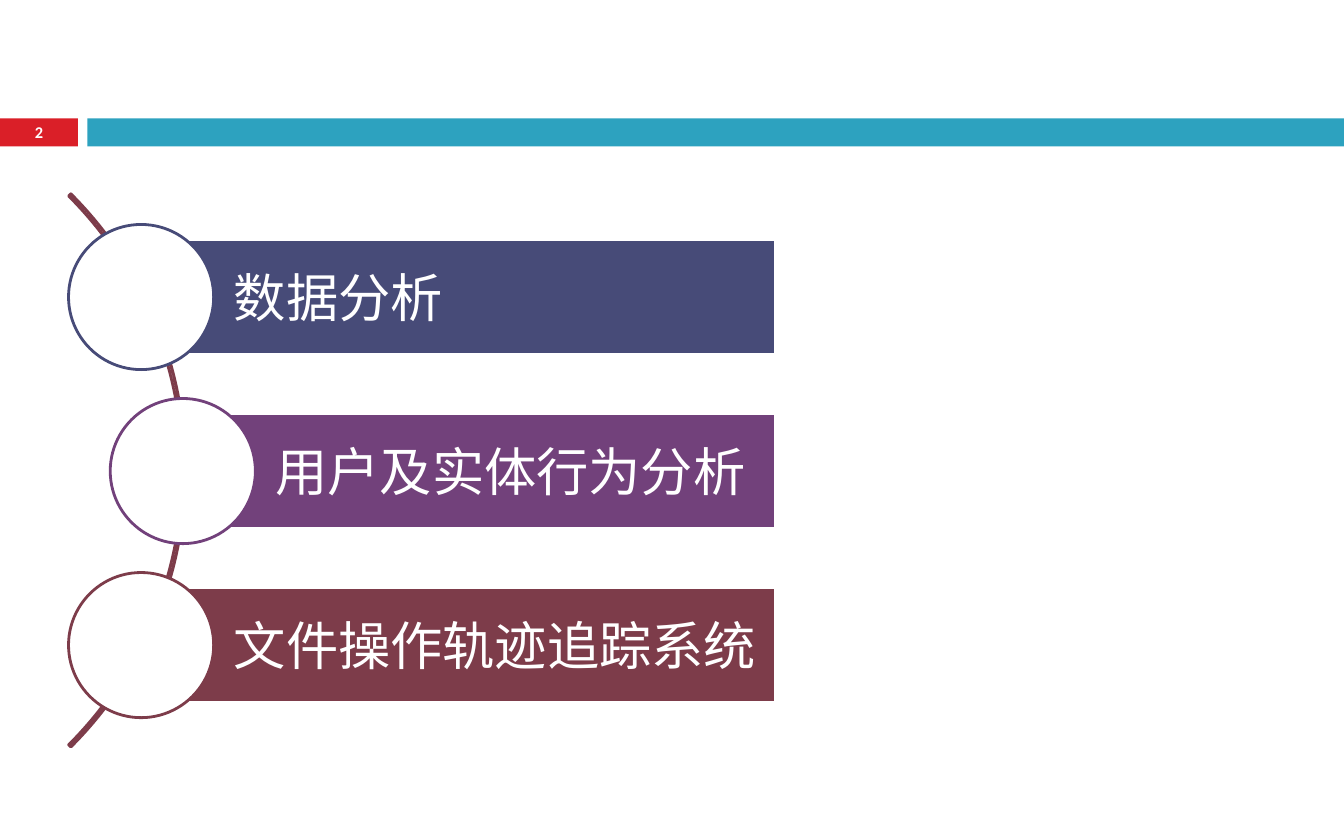
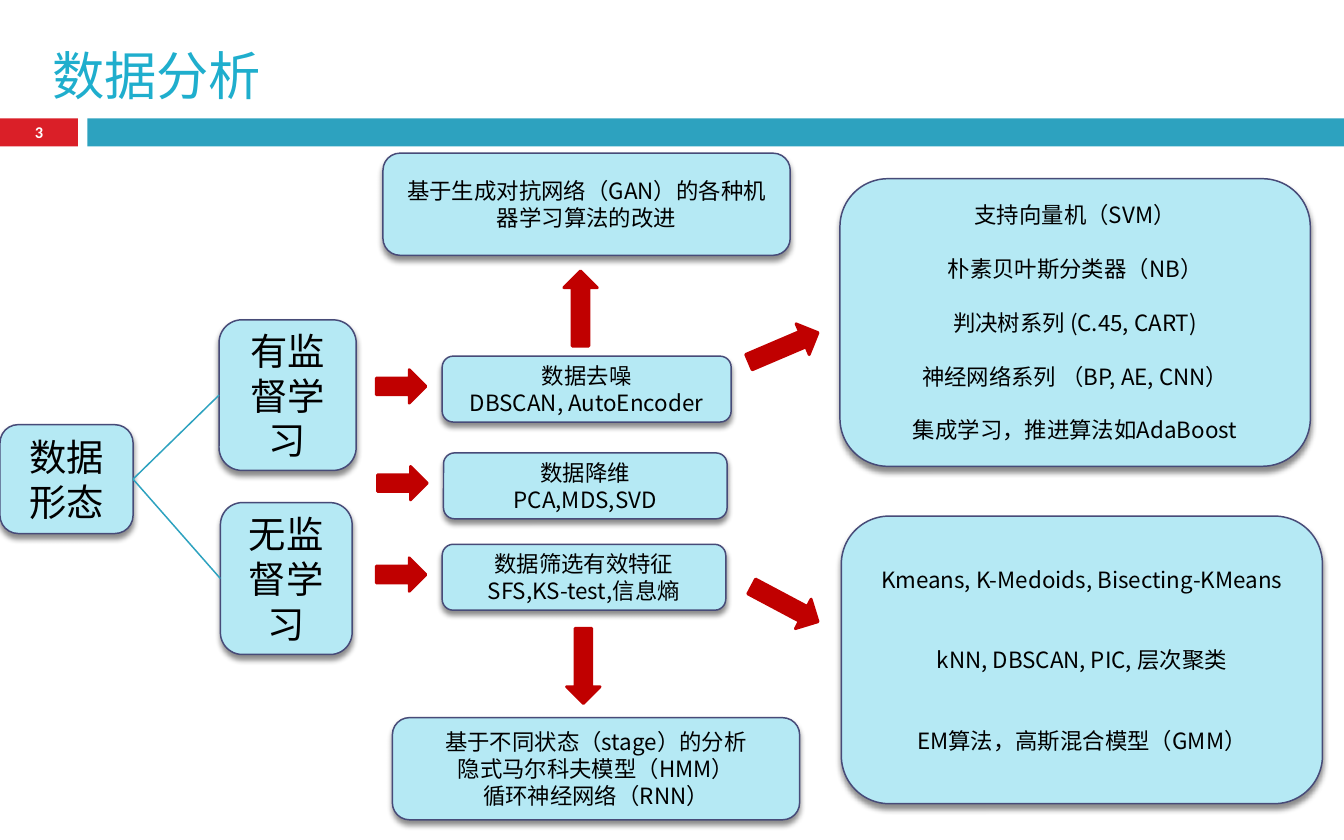
import dataclasses

import pptx
import pptx.chart.data
import pptx.dml.color
import pptx.enum.shapes
import pptx.enum.text
import pptx.oxml
import pptx.oxml.ns
import pptx.util

SHAPE = pptx.enum.shapes.MSO_SHAPE
ALIGN = pptx.enum.text.PP_ALIGN
ANCHOR = pptx.enum.text.MSO_ANCHOR

# The slide is a grid of 40 columns and 25 rows
COLS, ROWS = 40, 25
CELL = pptx.util.Inches(0.25)

CJK, LATIN = "Noto Sans CJK SC", "Calibri"
RED, TEAL, TITLE = "DA1F28", "2DA2BF", "1FAECD"
NAVY, PLUM, WINE = "474B78", "72417B", "7D3C4A"
PALE, ARROW, WHITE, BLACK = "B5E9F4", "C00000", "FFFFFF", "000000"
THIN, THICK = 0.79, 1.5


@dataclasses.dataclass
class Box:
    col: float
    row: float
    wide: float
    high: float

    def cut(self, col, row, wide, high):
        """A box whose corner is counted from the corner of this one."""
        return Box(self.col + col, self.row + row, wide, high)

    def place(self):
        return [round(n * CELL) for n in (self.col, self.row, self.wide, self.high)]


def tint(code):
    return pptx.dml.color.RGBColor.from_string(code)


def apply(target, values):
    for name, value in values.items():
        setattr(target, name, value)


# Text: one paragraph for each line, gap counted in lines
def write(shape, lines, size, color, align=ALIGN.CENTER, font=CJK,
          bold=False, gap=0, **frame):
    text = shape.text_frame
    apply(text, {"word_wrap": True, "vertical_anchor": ANCHOR.MIDDLE, **frame})
    pitch = size * 1.2
    for i, line in enumerate(lines):
        para = text.paragraphs[0] if i == 0 else text.add_paragraph()
        apply(para, {"alignment": align,
                     "line_spacing": pptx.util.Pt(pitch),
                     "space_before": pptx.util.Pt(pitch * gap if i else 0)})
        run = para.add_run()
        run.text = line
        apply(run.font, {"size": pptx.util.Pt(size), "name": font, "bold": bold})
        run.font.color.rgb = tint(color)
        east = pptx.oxml.parse_xml(
            f'<a:ea {pptx.oxml.ns.nsdecls("a")} typeface="{font}"/>')
        run.font._element.find(pptx.oxml.ns.qn("a:latin")).addnext(east)


def draw(slide, kind, box, fill=None, line=None, width=THICK, turn=0):
    shape = slide.shapes.add_shape(kind, *box.place())
    apply(shape, {"rotation": turn})
    shape.shadow.inherit = False
    if fill:
        shape.fill.solid()
        shape.fill.fore_color.rgb = tint(fill)
    else:
        shape.fill.background()
    if line:
        shape.line.color.rgb = tint(line)
        shape.line.width = pptx.util.Pt(width)
    else:
        shape.line.fill.background()
    return shape


# Rounded card with a soft shadow below it
def card(slide, box, lines, size=12, gap=0):
    shape = draw(slide, SHAPE.ROUNDED_RECTANGLE, box, PALE, NAVY, THIN)
    glow = shape._element.spPr.find(pptx.oxml.ns.qn("a:effectLst"))
    glow.append(pptx.oxml.parse_xml(
        f'<a:outerShdw {pptx.oxml.ns.nsdecls("a")} blurRad="38100" dist="30480" '
        'dir="5400000" algn="ctr" rotWithShape="0"><a:srgbClr val="000000">'
        '<a:alpha val="45000"/></a:srgbClr></a:outerShdw>'))
    write(shape, lines, size, BLACK, gap=gap)
    return shape


def arrow(slide, box, turn=0):
    draw(slide, SHAPE.RIGHT_ARROW, box, ARROW, ARROW, turn=turn)


def link(slide, start, end):
    line = slide.shapes.add_connector(
        pptx.enum.shapes.MSO_CONNECTOR.STRAIGHT, 0, 0, 0, 0)
    line.begin_connect(start, 3)
    line.end_connect(end, 1)
    line.line.color.rgb = tint(TEAL)
    line.line.width = pptx.util.Pt(THIN)
    line._element.spPr.append(pptx.oxml.parse_xml(
        f'<a:effectLst {pptx.oxml.ns.nsdecls("a")}/>'))


# Shared band with the slide number, and the title
def band(slide, box, number):
    tag = draw(slide, SHAPE.RECTANGLE, box.cut(0, 0, 2.32, box.high), RED)
    write(tag, [str(number)], 8.8, WHITE, font=LATIN, bold=True,
          margin_top=0, margin_bottom=0)
    draw(slide, SHAPE.RECTANGLE,
         box.cut(2.6, 0, box.wide - 2.6, box.high), TEAL)


def head(slide, box, text):
    shape = slide.shapes.add_textbox(*box.place())
    write(shape, [text], 28, TITLE, ALIGN.LEFT,
          vertical_anchor=ANCHOR.BOTTOM, margin_bottom=0)


# Agenda: bars with discs strung along an arc
def agenda(slide, box, items):
    arc = draw(slide, SHAPE.BLOCK_ARC, box.cut(-19.8, -4.32, 23.28, 23.28),
               line=WINE)
    for i, value in enumerate((189, 27, 0.004)):
        arc.adjustments[i] = value
    disc = 4.32
    step = (box.high - disc) / (len(items) - 1)
    for i, (text, color) in enumerate(items):
        left, top = 1.24 * (i % 2), i * step
        start = left + disc / 2
        bar = draw(slide, SHAPE.RECTANGLE,
                   box.cut(start, top + 0.44, box.wide - start, 3.44),
                   color, WHITE)
        write(bar, [text], 28, WHITE, ALIGN.LEFT,
              margin_left=round(2.76 * CELL), margin_right=round(0.32 * CELL))
        draw(slide, SHAPE.OVAL, box.cut(left, top, disc, disc), WHITE, color)


# Tree: the data root and its two kinds of learning
def tree(slide, box):
    root = card(slide, box.cut(0, 3.12, 3.96, 3.24), ["数据", "形态"], 20)
    for text, spot in (("有监督学习", (6.52, 0, 4.08, 4.48)),
                       ("无监督学习", (6.56, 5.44, 3.92, 4.52))):
        link(slide, root, card(slide, box.cut(*spot), [text], 20))


# Steps: cards, each with an arrow leading in
def steps(slide, box, items):
    for col, row, wide, lines in items:
        card(slide, box.cut(col + 1.96, row, wide, 1.96), lines)
        arrow(slide, box.cut(col, row + 0.4, 1.48, 1))


# Result: a card with the turned arrow that points to it
def result(slide, box, lines, gap, col, row, turn):
    card(slide, box, lines, gap=gap)
    arrow(slide, box.cut(col, row, 2.24, 1), turn)


AGENDA = (("数据分析", NAVY), ("用户及实体行为分析", PLUM),
          ("文件操作轨迹追踪系统", WINE))

STEPS = (
    (0, 0, 8.6, ["数据去噪", "DBSCAN, AutoEncoder"]),
    (0.04, 2.88, 8.44, ["数据降维", "PCA,MDS,SVD"]),
    (0, 5.6, 8.44, ["数据筛选有效特征", "SFS,KS-test,信息熵"]),
)

# Box, lines, gap, then arrow column, row and turn from the box
RESULTS = (
    (Box(25, 5.32, 14, 8.56),
     ["支持向量机（SVM）", "朴素贝叶斯分类器（NB）", "判决树系列 (C.45, CART)",
      "神经网络系列 （BP, AE, CNN）", "集成学习，推进算法如AdaBoost"],
     1, -2.8, 4.52, 336.9),
    (Box(25.04, 15.36, 14.32, 8.56),
     ["Kmeans, K-Medoids, Bisecting-KMeans", "kNN, DBSCAN, PIC, 层次聚类",
      "EM算法，高斯混合模型（GMM）"],
     2, -2.8, 2.12, 28),
    (Box(11.68, 21.36, 12.12, 3.04),
     ["基于不同状态（stage）的分析", "隐式马尔科夫模型（HMM）", "循环神经网络（RNN）"],
     0, 4.56, -2.04, 90),
    (Box(11.4, 4.56, 12.12, 3.04),
     ["基于生成对抗网络（GAN）的各种机器学习算法的改进"],
     0, 4.76, 4.12, 270),
)


def main():
    deck = pptx.Presentation()
    apply(deck, {"slide_width": COLS * CELL, "slide_height": ROWS * CELL})
    blank = deck.slide_layouts[6]
    first, second = (deck.slides.add_slide(blank) for _ in range(2))
    for number, slide in enumerate((first, second), 2):
        band(slide, Box(0, 3.52, COLS, 0.84), number)

    agenda(first, Box(2.04, 6.68, 21.04, 14.68), AGENDA)

    head(second, Box(1.16, 0.36, 16.68, 2.8), "数据分析")
    tree(second, Box(0, 9.52, 10.6, 9.96))
    steps(second, Box(11.2, 10.6, 10.6, 7.56), STEPS)
    for item in RESULTS:
        result(second, *item)

    deck.save("out.pptx")


if __name__ == "__main__":
    main()
